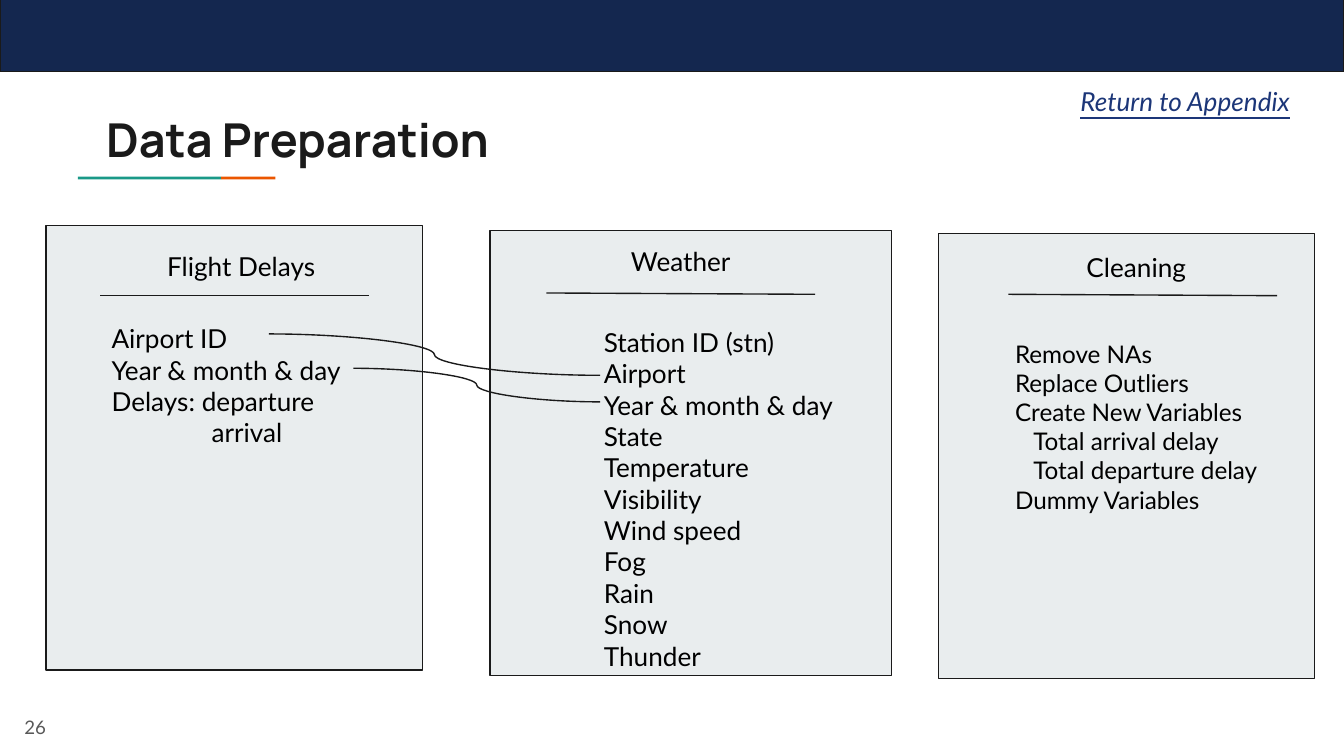
"""Build the data preparation slide with three linked cards."""
from dataclasses import dataclass
from typing import NamedTuple

from lxml.etree import SubElement
from pptx import Presentation
from pptx.dml.color import RGBColor
from pptx.enum.shapes import MSO_CONNECTOR, MSO_SHAPE
from pptx.enum.text import MSO_ANCHOR, MSO_AUTO_SIZE, PP_ALIGN
from pptx.oxml.ns import qn
from pptx.util import Emu, Inches, Pt

COLS, ROWS = 100, 56.25
WIDE = Inches(10)
HIGH = Emu(WIDE * 9 // 16)


@dataclass(frozen=True)
class Theme:
    ink: str = "1A1A1A"
    text: str = "000000"
    panel: str = "E9EDEE"
    navy: str = "14274F"
    link: str = "1C3678"
    grey: str = "595959"
    green: str = "1A9988"
    orange: str = "EB5600"
    face: str = "Lato"
    display: str = "Manrope"
    title: float = 25
    body: float = 14
    small: float = 13
    page: float = 10
    stroke: float = 0.75


class Box(NamedTuple):
    left: float
    top: float
    width: float
    height: float


class Line(NamedTuple):
    text: str
    dent: float = 0


class Path(NamedTuple):
    x: float
    y: float
    end_x: float
    end_y: float


@dataclass(frozen=True)
class Card:
    head: str
    panel: Box
    label: Box
    rule: Path
    body: Box
    size: float
    lines: tuple[Line, ...]


THEME = Theme()

CARDS = (
    Card("Flight Delays", Box(3.43, 16.77, 28, 33.1), Box(8.95, 17.65, 18, 5.5),
         Path(7.45, 22, 27.45, 22), Box(7.3, 23, 20.8, 24.2), THEME.body,
         (Line("Airport ID"), Line("Year & month & day"),
          Line("Delays: departure"), Line("arrival", 7.45))),
    Card("Weather", Box(36.45, 17.17, 29.9, 33.1), Box(37.4, 17.25, 26.5, 4.3),
         Path(40.65, 21.8, 60.65, 21.9), Box(43.93, 23.27, 22.4, 23.7),
         THEME.body,
         tuple(map(Line, ("Station ID (stn)", "Airport", "Year & month & day",
                          "State", "Temperature", "Visibility", "Wind speed",
                          "Fog", "Rain", "Snow", "Thunder")))),
    Card("Cleaning", Box(69.83, 17.37, 28, 33.1), Box(75.05, 17.7, 19, 4.3),
         Path(75.03, 21.9, 95.03, 22), Box(74.53, 24.22, 20.7, 19.8),
         THEME.small,
         (Line("Remove NAs"), Line("Replace Outliers"),
          Line("Create New Variables"), Line("Total arrival delay", 1.35),
          Line("Total departure delay", 1.35), Line("Dummy Variables"))),
)

LINKS = (Path(26.3, 27.4, 44.65, 29.9), Path(20, 24.85, 44.65, 27.93))


def across(cols: float) -> Emu:
    """Turn grid columns into a length."""
    return Emu(round(WIDE * cols / COLS))


def down(rows: float) -> Emu:
    """Turn grid rows into a length."""
    return Emu(round(HIGH * rows / ROWS))


def place(box: Box) -> tuple[Emu, Emu, Emu, Emu]:
    """Turn a grid box into slide lengths."""
    return across(box.left), down(box.top), across(box.width), down(box.height)


def block(slide, box: Box, fill: str, edge: str = "") -> None:
    """Draw a flat rectangle."""
    shape = slide.shapes.add_shape(MSO_SHAPE.RECTANGLE, *place(box))
    shape.shadow.inherit = False
    shape.fill.solid()
    shape.fill.fore_color.rgb = RGBColor.from_string(fill)
    if edge:
        shape.line.color.rgb = RGBColor.from_string(edge)
        shape.line.width = Pt(THEME.stroke)
    else:
        shape.line.fill.background()


def stroke(slide, path: Path, kind=MSO_CONNECTOR.STRAIGHT) -> None:
    """Draw a thin connector."""
    line = slide.shapes.add_connector(
        kind, across(path.x), down(path.y), across(path.end_x), down(path.end_y))
    line.line.color.rgb = RGBColor.from_string(THEME.ink)
    line.line.width = Pt(THEME.stroke)
    SubElement(line._element.spPr, qn("a:effectLst"))


def write(shape, lines: tuple[Line, ...], size: float, color: str = THEME.text,
          face: str = THEME.face, align=PP_ALIGN.LEFT, anchor=MSO_ANCHOR.TOP,
          bold: bool = False, slant: bool = False, under: bool = False) -> None:
    """Fill a shape with plain, unbulleted lines."""
    frame = shape.text_frame
    frame.word_wrap = True
    frame.auto_size = MSO_AUTO_SIZE.NONE
    frame.vertical_anchor = anchor
    frame.margin_left = frame.margin_right = across(1)
    frame.margin_top = frame.margin_bottom = down(1)
    for spot, line in enumerate(lines):
        para = frame.add_paragraph() if spot else frame.paragraphs[0]
        para.text = line.text
        para.alignment = align
        para.line_spacing = 1.0
        para.space_before = para.space_after = Pt(0)
        props = para._p.get_or_add_pPr()
        props.set("marL", str(across(line.dent)))
        props.set("indent", "0")
        SubElement(props, qn("a:buNone"))
        font = para.font
        font.name, font.size = face, Pt(size)
        font.bold, font.italic, font.underline = bold, slant, under
        font.color.rgb = RGBColor.from_string(color)


def label(slide, box: Box, text: str, size: float, **style) -> None:
    """Add a one-line text box."""
    write(slide.shapes.add_textbox(*place(box)), (Line(text),), size, **style)


def settle(slide, shape, box: Box) -> None:
    """Move a placeholder to its box, in front of the rest."""
    shape.left, shape.top, shape.width, shape.height = place(box)
    slide.shapes._spTree.append(shape._element)


def draw(slide, card: Card, holder) -> None:
    """Draw one card with its heading, rule and list."""
    block(slide, card.panel, THEME.panel, THEME.ink)
    label(slide, card.label, card.head, THEME.body, align=PP_ALIGN.CENTER)
    stroke(slide, card.rule)
    settle(slide, holder, card.body)
    write(holder, card.lines, card.size)


def main() -> None:
    """Build and save the slide."""
    deck = Presentation()
    deck.slide_width, deck.slide_height = WIDE, HIGH
    slide = deck.slides.add_slide(deck.slide_layouts.get_by_name("Comparison"))
    title, *holders = slide.placeholders
    block(slide, Box(0, -0.1, COLS, 5.45), THEME.navy, THEME.ink)
    block(slide, Box(5.8, 13.15, 10.65, 0.2), THEME.green)
    block(slide, Box(16.45, 13.15, 4.05, 0.2), THEME.orange)
    settle(slide, title, Box(6.9, 7.25, 93.1, 7.1))
    write(title, (Line("Data Preparation"),), THEME.title, THEME.ink,
          THEME.display, bold=True)
    for card, holder in zip(CARDS, holders):
        draw(slide, card, holder)
    for spare in holders[len(CARDS):]:
        slide.shapes._spTree.remove(spare._element)
    for link in LINKS:
        stroke(slide, link, MSO_CONNECTOR.CURVE)
    label(slide, Box(79.4, 5.35, 20.2, 3.4), "Return to Appendix", THEME.body,
          color=THEME.link, slant=True, under=True)
    label(slide, Box(0.83, 51.93, 6, 4.3), "26", THEME.page, color=THEME.grey,
          anchor=MSO_ANCHOR.MIDDLE)
    deck.save("out.pptx")


if __name__ == "__main__":
    main()
